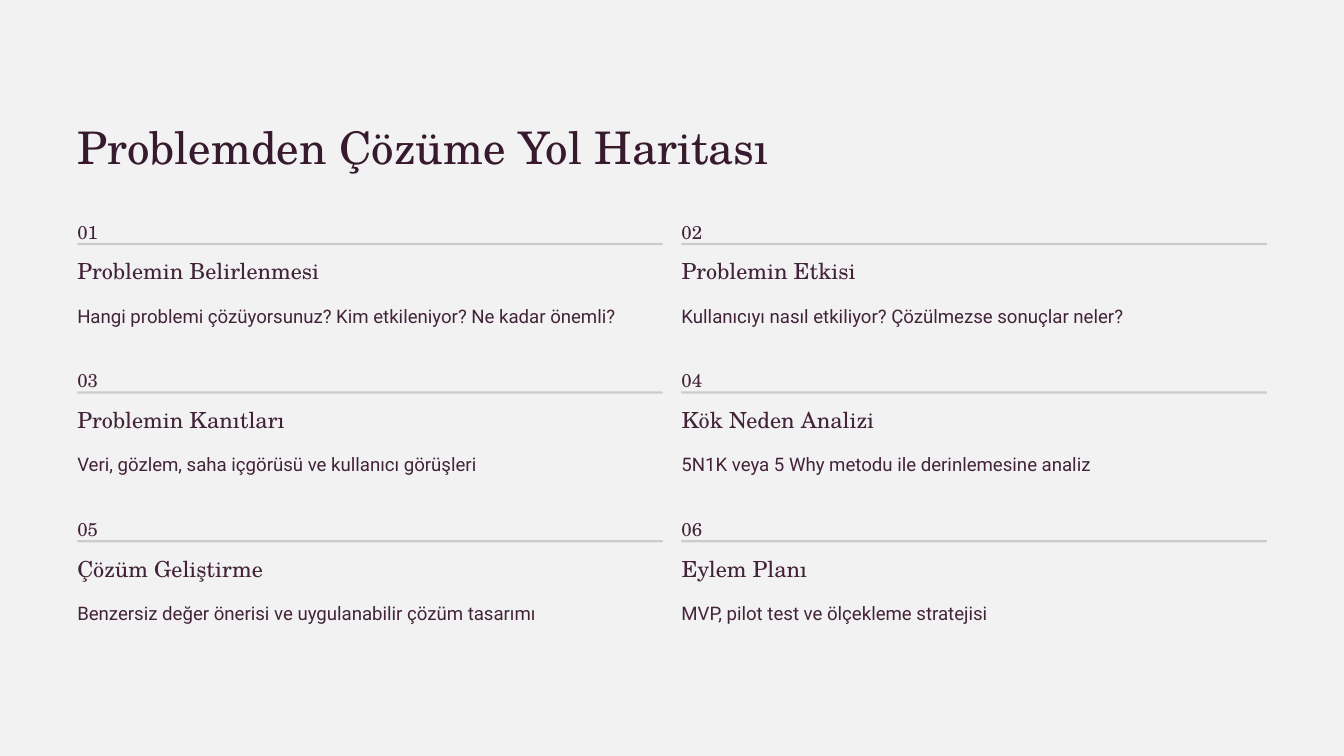
from dataclasses import dataclass
from pptx import Presentation
from pptx.dml.color import RGBColor
from pptx.enum import shapes, text
from pptx.util import Pt


@dataclass(frozen=True)
class Theme:
    paper: RGBColor = RGBColor(0xF2, 0xF2, 0xF2)
    title_ink: RGBColor = RGBColor(0x37, 0x1A, 0x2D)
    ink: RGBColor = RGBColor(0x43, 0x23, 0x38)
    rule: RGBColor = RGBColor(0xCC, 0xCC, 0xCC)
    serif: str = "TeX Gyre Schola"
    sans: str = "Roboto"
    title_size: float = 38.5
    heading_size: float = 19
    body_size: float = 16


theme = Theme()


def write(box, words, font, size, color, spacing):
    frame = box.text_frame
    frame.margin_left = frame.margin_top = frame.margin_right = frame.margin_bottom = 0
    frame.word_wrap = False
    frame.auto_size = text.MSO_AUTO_SIZE.NONE
    frame.vertical_anchor = text.MSO_ANCHOR.TOP
    line = frame.paragraphs[0]
    line.alignment = text.PP_ALIGN.LEFT
    line.line_spacing = Pt(spacing)
    run = line.add_run()
    run.text = words
    run.font.name = font
    run.font.size = Pt(size)
    run.font.color.rgb = color


deck = Presentation()
deck.slide_width, deck.slide_height = Pt(1152), Pt(648)
slide = deck.slides.add_slide(deck.slide_layouts[5])
slide.background.fill.solid()
slide.background.fill.fore_color.rgb = theme.paper

left, top = 66.24, 182.16
column_width, column_step, row_step = 501.84, 517.92, 127.44

title = slide.shapes.title
title.left, title.top, title.width, title.height = Pt(left), Pt(100.08), Pt(638.64), Pt(48.24)
write(title, "Problemden Çözüme Yol Haritası", theme.serif, theme.title_size, theme.title_ink, 48.5)

steps = [
    ("Problemin Belirlenmesi", "Hangi problemi çözüyorsunuz? Kim etkileniyor? Ne kadar önemli?"),
    ("Problemin Etkisi", "Kullanıcıyı nasıl etkiliyor? Çözülmezse sonuçlar neler?"),
    ("Problemin Kanıtları", "Veri, gözlem, saha içgörüsü ve kullanıcı görüşleri"),
    ("Kök Neden Analizi", "5N1K veya 5 Why metodu ile derinlemesine analiz"),
    ("Çözüm Geliştirme", "Benzersiz değer önerisi ve uygulanabilir çözüm tasarımı"),
    ("Eylem Planı", "MVP, pilot test ve ölçekleme stratejisi"),
]

for index, (heading, detail) in enumerate(steps):
    row, column = divmod(index, 2)
    x = left + column * column_step
    y = top + row * row_step

    number = slide.shapes.add_textbox(Pt(x), Pt(y), Pt(16.56), Pt(20.88))
    write(number, f"{index + 1:02}", theme.serif, theme.body_size, theme.ink, 26)

    rule = slide.shapes.add_shape(
        shapes.MSO_SHAPE.RECTANGLE, Pt(x), Pt(y + 25.92), Pt(column_width), Pt(2))
    rule.shadow.inherit = False
    rule.fill.solid()
    rule.fill.fore_color.rgb = theme.rule
    rule.line.fill.background()

    heading_width = 231.12 if index == 0 else 193.68
    step_name = slide.shapes.add_textbox(Pt(x), Pt(y + 37.44), Pt(heading_width), Pt(24.48))
    write(step_name, heading, theme.serif, theme.heading_size, theme.ink, 24)

    description = slide.shapes.add_textbox(Pt(x), Pt(y + 72), Pt(column_width), Pt(26.64))
    write(description, detail, theme.sans, theme.body_size, theme.ink, 26)

deck.save("out.pptx")
